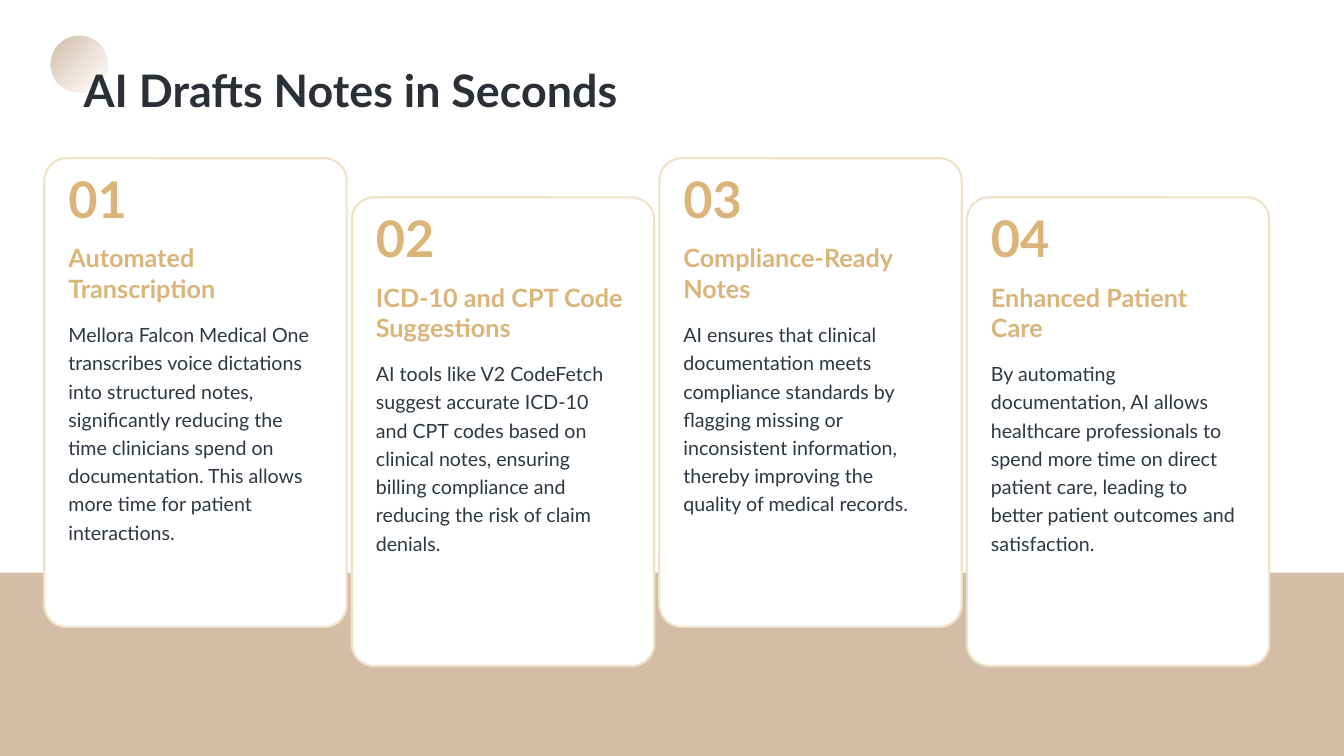
"""Build the slide on AI-drafted clinical notes with four staggered cards."""
from dataclasses import dataclass

from pptx import Presentation
from pptx import util as u
from pptx.dml.color import RGBColor
from pptx.enum import shapes, text
from pptx.oxml import ns
from lxml import etree


@dataclass(frozen=True)
class Theme:
    font: str = "Lato"
    white: str = "FFFFFF"
    sand: str = "D3BDA6"
    bronze: str = "B48E67"
    gold: str = "DBB479"
    cream: str = "F0E1C9"
    ink: str = "2B2F36"
    slate: str = "2C3741"
    title_size: int = 32
    number_size: int = 36
    heading_size: int = 18
    body_size: int = 14


@dataclass(frozen=True)
class Area:
    """Left, top, width and height as percentages of the slide."""
    left: float
    top: float
    width: float
    height: float

    def inside(self, left: float, top: float, width: float, height: float) -> "Area":
        return Area(self.left + left, self.top + top, width, height)

    def lengths(self) -> tuple:
        return (u.Inches(SLIDE_WIDTH * self.left / 100), u.Inches(SLIDE_HEIGHT * self.top / 100),
                u.Inches(SLIDE_WIDTH * self.width / 100), u.Inches(SLIDE_HEIGHT * self.height / 100))


@dataclass(frozen=True)
class Card:
    heading: str
    body: str
    body_height: float = 27.87


THEME = Theme()
SLIDE_WIDTH, SLIDE_HEIGHT = 13.33, 7.5
FIRST_CARD = Area(3.3, 20.93, 22.5, 62)
CARD_PITCH, CARD_DROP = 22.88, 5.17
CARDS = [
    Card("Automated Transcription",
         "Mellora Falcon Medical One transcribes voice dictations into structured notes, "
         "significantly reducing the time clinicians spend on documentation. "
         "This allows more time for patient interactions.", 31.87),
    Card("ICD-10 and CPT Code Suggestions",
         "AI tools like V2 CodeFetch suggest accurate ICD-10 and CPT codes based on clinical "
         "notes, ensuring billing compliance and reducing the risk of claim denials."),
    Card("Compliance-Ready Notes",
         "AI ensures that clinical documentation meets compliance standards by flagging missing "
         "or inconsistent information, thereby improving the quality of medical records."),
    Card("Enhanced Patient Care",
         "By automating documentation, AI allows healthcare professionals to spend more time on "
         "direct patient care, leading to better patient outcomes and satisfaction."),
]


def color(value: str) -> RGBColor:
    return RGBColor.from_string(value)


def add_panel(page, kind, area: Area, fill: str, line: str = ""):
    panel = page.shapes.add_shape(kind, *area.lengths())
    panel.shadow.inherit = False
    panel.fill.solid()
    panel.fill.fore_color.rgb = color(fill)
    if line:
        panel.line.color.rgb = color(line)
        panel.line.width = u.Pt(1.5)
    else:
        panel.line.fill.background()
    return panel


def add_text(page, area: Area, words: str, size: int, ink: str,
             bold: bool = True, spacing: float = 1.0) -> None:
    box = page.shapes.add_textbox(*area.lengths())
    frame = box.text_frame
    frame.word_wrap = True
    frame.auto_size = text.MSO_AUTO_SIZE.SHAPE_TO_FIT_TEXT
    para = frame.paragraphs[0]
    para.text = words
    para.line_spacing = spacing
    para.font.name = THEME.font
    para.font.size = u.Pt(size)
    para.font.bold = bold
    para.font.color.rgb = color(ink)


def add_fading_dot(page, area: Area) -> None:
    dot = add_panel(page, shapes.MSO_SHAPE.OVAL, area, THEME.sand)
    dot.fill.gradient()
    dot.fill.gradient_angle = 90
    for stop, tint in zip(dot.fill.gradient_stops, (THEME.sand, THEME.bronze)):
        stop.color.rgb = color(tint)
    tints = dot.fill._xPr.iter(ns.qn("a:srgbClr"))
    for tint, opacity in zip(tints, (0, 67)):
        etree.SubElement(tint, ns.qn("a:alpha")).set("val", str(opacity * 1000))
    dot.rotation = 135
    frame = dot._element.spPr.find(ns.qn("a:xfrm"))
    frame.set("flipH", "1")
    frame.set("flipV", "1")


def add_card_panel(page, area: Area) -> None:
    panel = add_panel(page, shapes.MSO_SHAPE.ROUNDED_RECTANGLE, area, THEME.white, THEME.cream)
    panel.adjustments[0] = 0.074


def add_card_text(page, area: Area, number: int, card: Card) -> None:
    add_text(page, area.inside(1.05, 0.6, 9.08, 8), f"{number:02}",
             THEME.number_size, THEME.gold)
    add_text(page, area.inside(1.05, 10.53, 19.95, 8.67), card.heading,
             THEME.heading_size, THEME.gold)
    add_text(page, area.inside(1.05, 20.53, 19.95, card.body_height), card.body,
             THEME.body_size, THEME.slate, bold=False, spacing=1.2)


def main() -> None:
    deck = Presentation()
    deck.slide_width = u.Inches(SLIDE_WIDTH)
    deck.slide_height = u.Inches(SLIDE_HEIGHT)
    page = deck.slides.add_slide(deck.slide_layouts[6])

    add_fading_dot(page, Area(3.75, 4.67, 4.28, 7.6))
    add_panel(page, shapes.MSO_SHAPE.RECTANGLE, Area(0, 75.73, 100, 24.27), THEME.sand)
    add_text(page, Area(5.48, 7.6, 51.45, 7.33), "AI Drafts Notes in Seconds",
             THEME.title_size, THEME.ink)

    areas = [FIRST_CARD.inside(column * CARD_PITCH, column % 2 * CARD_DROP,
                               FIRST_CARD.width, FIRST_CARD.height)
             for column in range(len(CARDS))]
    for area in areas:
        add_card_panel(page, area)
    for number, (area, card) in enumerate(zip(areas, CARDS), start=1):
        add_card_text(page, area, number, card)

    deck.save("out.pptx")


if __name__ == "__main__":
    main()
